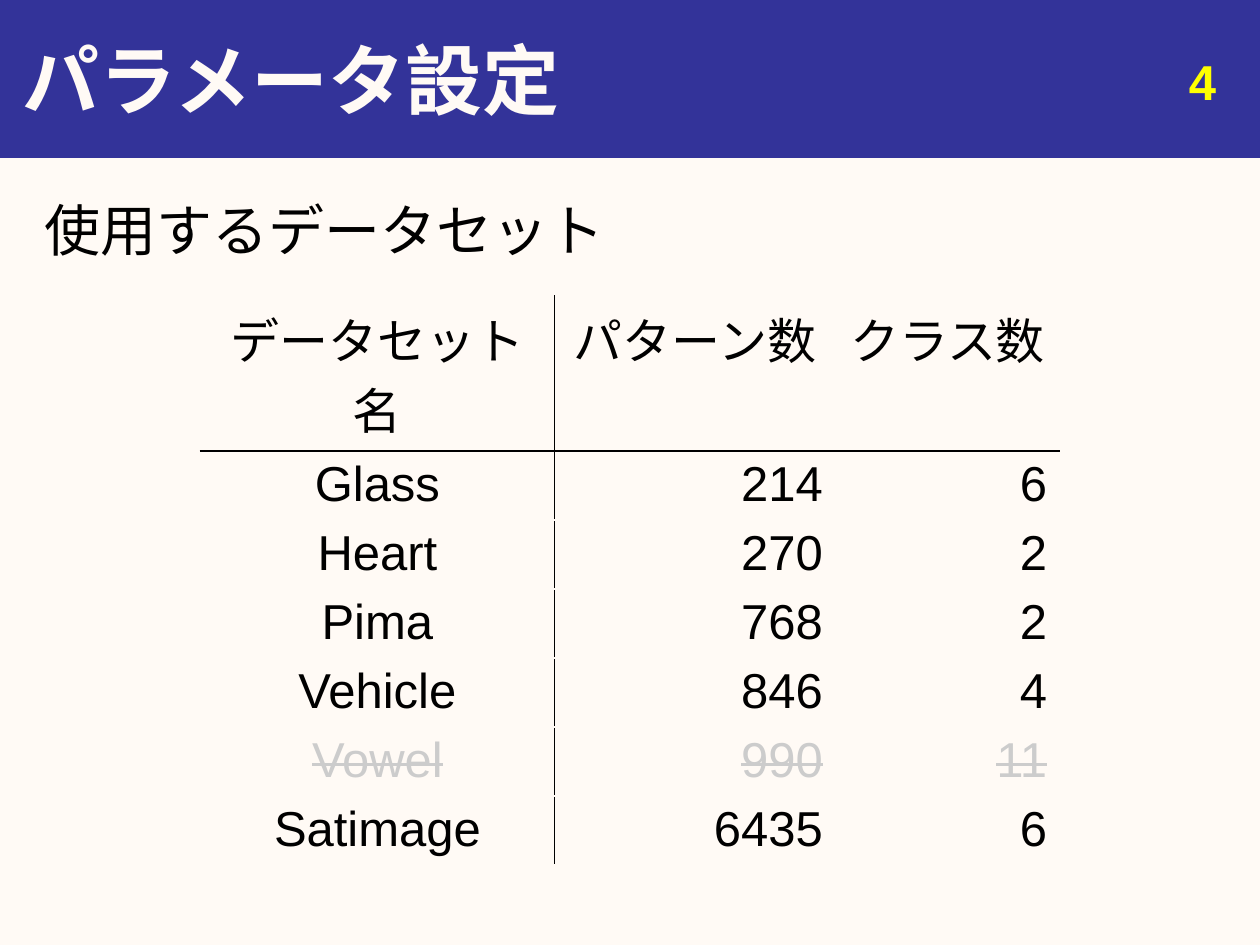
"""Build the parameter settings slide with its data set table."""
import pptx
import pptx.dml.color
import pptx.enum.shapes
import pptx.enum.text
import pptx.oxml
import pptx.oxml.ns
import pptx.util

Inches = pptx.util.Inches
Align = pptx.enum.text.PP_ALIGN
Anchor = pptx.enum.text.MSO_ANCHOR

TITLE = "パラメータ設定"
PAGE_NUMBER = "4"
BODY = "使用するデータセット"
HEADER = ("データセット名", "パターン数", "クラス数")
DATA_SETS = [
    ("Glass", "214", "6"),
    ("Heart", "270", "2"),
    ("Pima", "768", "2"),
    ("Vehicle", "846", "4"),
    ("Vowel", "990", "11"),
    ("Satimage", "6435", "6"),
]
EXCLUDED = {"Vowel"}
COLUMN_WIDTHS = (2.81, 2.23, 1.78)
ROW_HEIGHTS = [1.23] + [0.53] * len(DATA_SETS)

THEME = {
    "font": "Arial",
    "paper": "FFFAF5",
    "bar": "333399",
    "ink": "000000",
    "accent": "FFFF00",
    "muted": "CCCCCC",
    "title_size": 44,
    "body_size": 32,
    "label_size": 28,
}


def color(name):
    return pptx.dml.color.RGBColor.from_string(THEME[name])


def write(frame, text, size, ink, align=Align.LEFT, bold=False, strike=False):
    paragraph = frame.paragraphs[0]
    paragraph.alignment = align
    paragraph.space_before = pptx.util.Pt(0)
    run = paragraph.add_run()
    run.text = text
    run.font.name = THEME["font"]
    run.font.size = pptx.util.Pt(THEME[size])
    run.font.bold = bold
    run.font.color.rgb = color(ink)
    if strike:
        run._r.get_or_add_rPr().set("strike", "sngStrike")


def place(shape, left, top, width, height):
    shape.left, shape.top = Inches(left), Inches(top)
    shape.width, shape.height = Inches(width), Inches(height)


def set_borders(cell, inks):
    properties = cell._tc.get_or_add_tcPr()
    for position, (side, ink) in enumerate(inks.items()):
        line = pptx.oxml.parse_xml(
            f'<a:ln{side} {pptx.oxml.ns.nsdecls("a")} w="12700"><a:solidFill>'
            f'<a:srgbClr val="{THEME[ink]}"/></a:solidFill></a:ln{side}>'
        )
        properties.insert(position, line)


def add_bar(slide):
    bar = slide.shapes.add_shape(
        pptx.enum.shapes.MSO_SHAPE.RECTANGLE, 0, 0, Inches(10), Inches(1.25)
    )
    bar.shadow.inherit = False
    bar.fill.solid()
    bar.fill.fore_color.rgb = color("bar")
    bar.line.color.rgb = color("bar")
    bar.line.width = pptx.util.Pt(0.75)
    slide.shapes._spTree.insert(2, bar._element)


def add_texts(slide):
    title, body = slide.placeholders
    place(title, 0.08, 0, 9.92, 1.25)
    title.text_frame.vertical_anchor = Anchor.MIDDLE
    write(title.text_frame, TITLE, "title_size", "paper", bold=True)

    place(body, 0.25, 1.5, 9.5, 5.67)
    properties = body.text_frame.paragraphs[0]._p.get_or_add_pPr()
    properties.set("marL", "0")
    properties.set("indent", "0")
    properties.append(
        pptx.oxml.parse_xml(f'<a:buNone {pptx.oxml.ns.nsdecls("a")}/>')
    )
    write(body.text_frame, BODY, "body_size", "ink")

    number = slide.shapes.add_textbox(
        Inches(7.42), Inches(0.36), Inches(2.33), Inches(0.52)
    )
    number.text_frame.word_wrap = True
    write(number.text_frame, PAGE_NUMBER, "label_size", "accent", Align.RIGHT, True)


def add_data_table(slide):
    rows = [HEADER] + DATA_SETS
    table = slide.shapes.add_table(
        len(rows), len(HEADER), Inches(1.59), Inches(2.35),
        Inches(sum(COLUMN_WIDTHS)), Inches(sum(ROW_HEIGHTS)),
    ).table
    table.first_row = table.horz_banding = False
    for column, width in zip(table.columns, COLUMN_WIDTHS):
        column.width = Inches(width)
    for row, height in zip(table.rows, ROW_HEIGHTS):
        row.height = Inches(height)
    for row_index, values in enumerate(rows):
        excluded = values[0] in EXCLUDED
        for column_index, value in enumerate(values):
            cell = table.cell(row_index, column_index)
            cell.margin_top, cell.margin_bottom = Inches(0.05), Inches(0.03)
            cell.fill.background()
            set_borders(cell, {
                "L": "ink" if column_index == 1 else "paper",
                "R": "ink" if column_index == 0 else "paper",
                "T": "ink" if row_index == 1 else "paper",
                "B": "ink" if row_index == 0 else "paper",
            })
            centred = row_index == 0 or column_index == 0
            write(
                cell.text_frame, value, "label_size",
                "muted" if excluded else "ink",
                Align.CENTER if centred else Align.RIGHT, strike=excluded,
            )


def main():
    presentation = pptx.Presentation()
    presentation.slide_width, presentation.slide_height = Inches(10), Inches(7.5)
    slide = presentation.slides.add_slide(presentation.slide_layouts[1])
    slide.background.fill.solid()
    slide.background.fill.fore_color.rgb = color("paper")
    add_bar(slide)
    add_texts(slide)
    add_data_table(slide)
    presentation.save("out.pptx")


if __name__ == "__main__":
    main()
